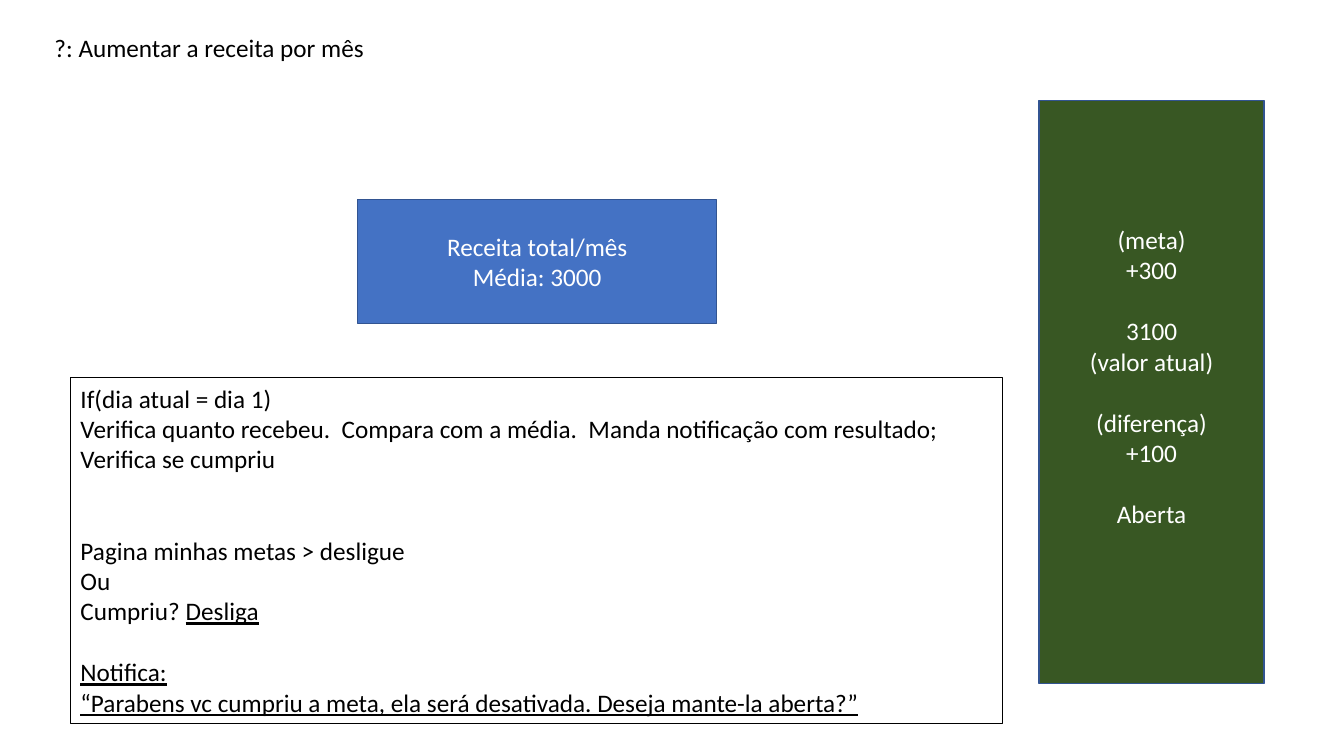
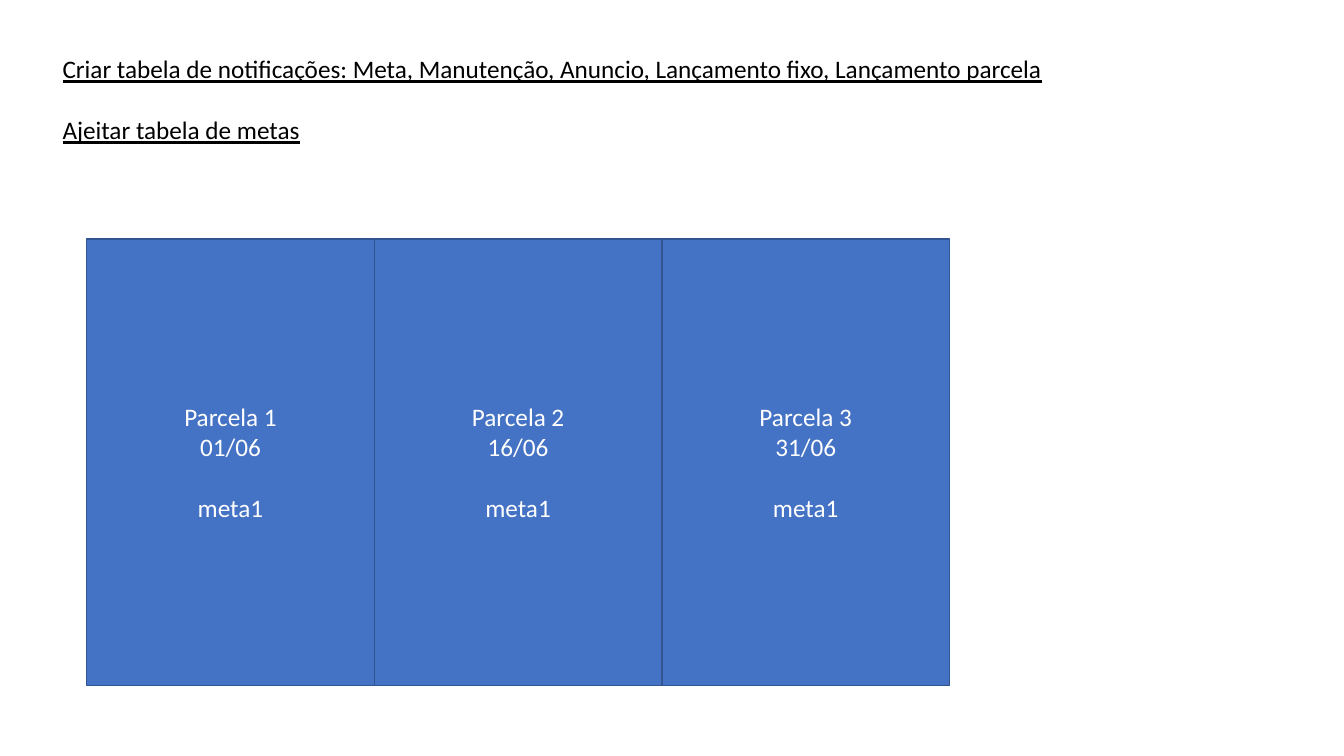
from dataclasses import dataclass

from pptx import Presentation
from pptx.dml.color import RGBColor
from pptx.enum.shapes import MSO_SHAPE
from pptx.enum.text import MSO_ANCHOR, MSO_AUTO_SIZE, PP_ALIGN
from pptx.util import Emu, Inches, Pt

COLUMNS, ROWS = 160, 90
CELL = Inches(1) / 12
FONT, SIZE, LINE_HEIGHT = "Calibri", 18, 22
BLACK, WHITE = "000000", "FFFFFF"
BLUE, GREEN, BORDER = "4472C4", "385723", "325491"


@dataclass
class Box:
    left: float
    top: float
    width: float
    height: float

    def emu(self):
        return [Emu(round(cells * CELL))
                for cells in (self.left, self.top, self.width, self.height)]

    def columns(self, count):
        width = self.width / count
        return [Box(self.left + i * width, self.top, width, self.height)
                for i in range(count)]


@dataclass
class Line:
    plain: str = ""
    underlined: str = ""
    gap: int = 0


def color(value):
    return RGBColor.from_string(value)


def write(frame, lines, ink, align, anchor):
    frame.word_wrap = True
    frame.auto_size = MSO_AUTO_SIZE.NONE
    frame.vertical_anchor = anchor
    for index, line in enumerate(lines):
        paragraph = frame.add_paragraph() if index else frame.paragraphs[0]
        paragraph.alignment = align
        paragraph.space_before = Pt(line.gap * LINE_HEIGHT)
        for text, underline in ((line.plain, False), (line.underlined, True)):
            if text:
                run = paragraph.add_run()
                run.text = text
                run.font.name = FONT
                run.font.size = Pt(SIZE)
                run.font.color.rgb = color(ink)
                run.font.underline = underline


def add_titled_slide(deck, box, lines):
    slide = deck.slides.add_slide(deck.slide_layouts[5])
    title = slide.shapes.title
    title.left, title.top, title.width, title.height = box.emu()
    write(title.text_frame, lines, BLACK, PP_ALIGN.LEFT, MSO_ANCHOR.TOP)
    return slide


def add_rectangle(slide, box, border, weight):
    rectangle = slide.shapes.add_shape(MSO_SHAPE.RECTANGLE, *box.emu())
    rectangle.shadow.inherit = False
    rectangle.line.color.rgb = color(border)
    rectangle.line.width = Pt(weight)
    return rectangle


def add_card(slide, box, fill, lines):
    card = add_rectangle(slide, box, BORDER, 1)
    card.fill.solid()
    card.fill.fore_color.rgb = color(fill)
    write(card.text_frame, lines, WHITE, PP_ALIGN.CENTER, MSO_ANCHOR.MIDDLE)
    return card


def add_rules(slide, box, lines):
    rules = add_rectangle(slide, box, BLACK, 0.75)
    rules.fill.background()
    write(rules.text_frame, lines, BLACK, PP_ALIGN.LEFT, MSO_ANCHOR.TOP)


def add_installments(slide, box, dates):
    for number, (cell, date) in enumerate(zip(box.columns(len(dates)), dates), 1):
        add_card(slide, cell, BLUE,
                 [Line(f"Parcela {number}"), Line(date), Line("meta1", gap=1)])


def build_revenue_goal(deck):
    slide = add_titled_slide(deck, Box(5.28, 3.24, 134.28, 4.8),
                             [Line("?: Aumentar a receita por mês")])
    goal = add_card(slide, Box(123.72, 12, 26.76, 69.36), GREEN, [
        Line("(meta)"),
        Line("+300"),
        Line("3100", gap=1),
        Line("(valor atual)"),
        Line("(diferença)", gap=1),
        Line("+100"),
        Line("Aberta", gap=1),
    ])
    goal.text_frame.margin_bottom = Inches(0.36)
    add_card(slide, Box(42.6, 23.76, 42.72, 14.76), BLUE,
             [Line("Receita total/mês"), Line("Média: 3000")])
    add_rules(slide, Box(8.4, 45, 111, 41.16), [
        Line("If(dia atual = dia 1)"),
        Line("Verifica quanto recebeu.  Compara com a média.  "
             "Manda notificação com resultado;"),
        Line("Verifica se cumpriu"),
        Line("Pagina minhas metas > desligue", gap=2),
        Line("Ou"),
        Line("Cumpriu? ", "Desliga"),
        Line(underlined="Notifica:", gap=1),
        Line(underlined="“Parabens vc cumpriu a meta, ela será desativada. "
                        "Deseja mante-la aberta?”"),
    ])


def build_notifications(deck):
    slide = add_titled_slide(deck, Box(6.24, 5.76, 136.32, 19.44), [
        Line(underlined="Criar tabela de notificações: Meta, Manutenção, "
                        "Anuncio, Lançamento fixo, Lançamento parcela"),
        Line(underlined="Ajeitar tabela de metas", gap=1),
    ])
    add_installments(slide, Box(10.32, 28.44, 102.72, 53.16),
                     ["01/06", "16/06", "31/06"])


deck = Presentation()
deck.slide_width = Emu(round(COLUMNS * CELL))
deck.slide_height = Emu(round(ROWS * CELL))
build_revenue_goal(deck)
build_notifications(deck)
deck.save("out.pptx")
